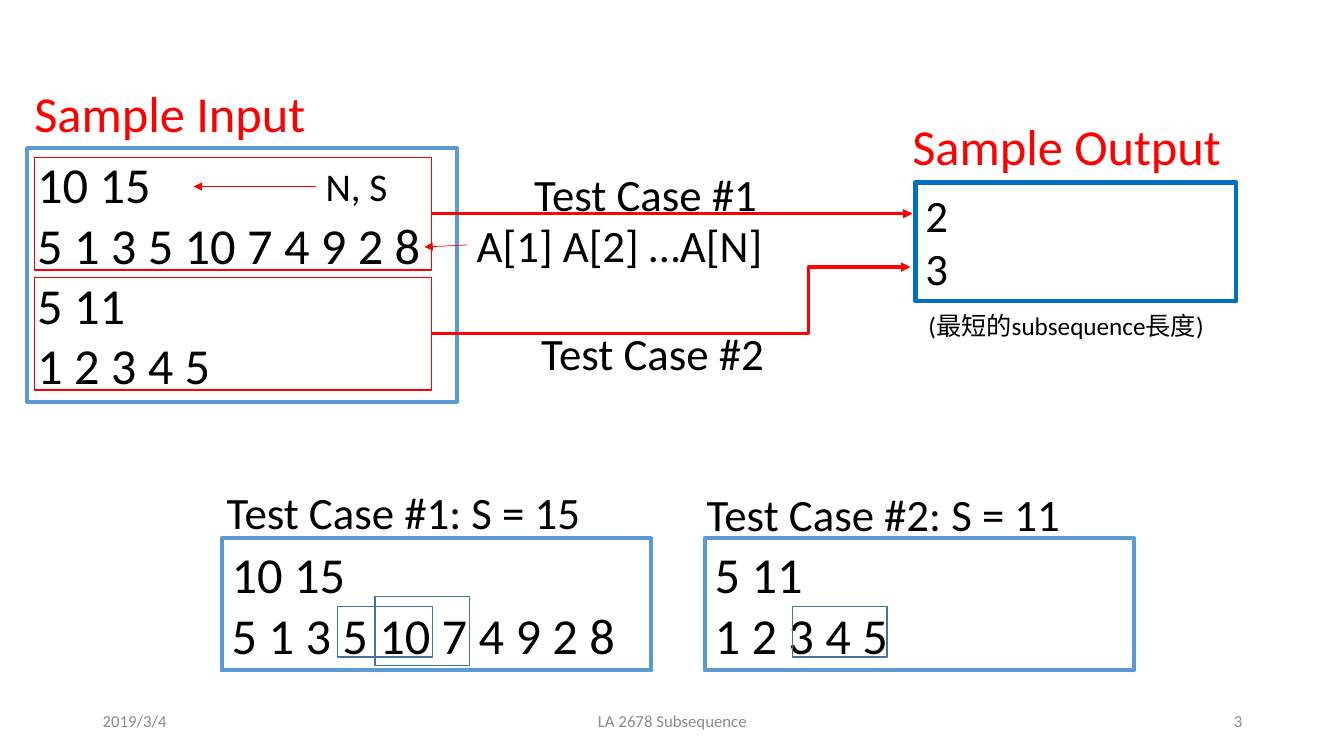
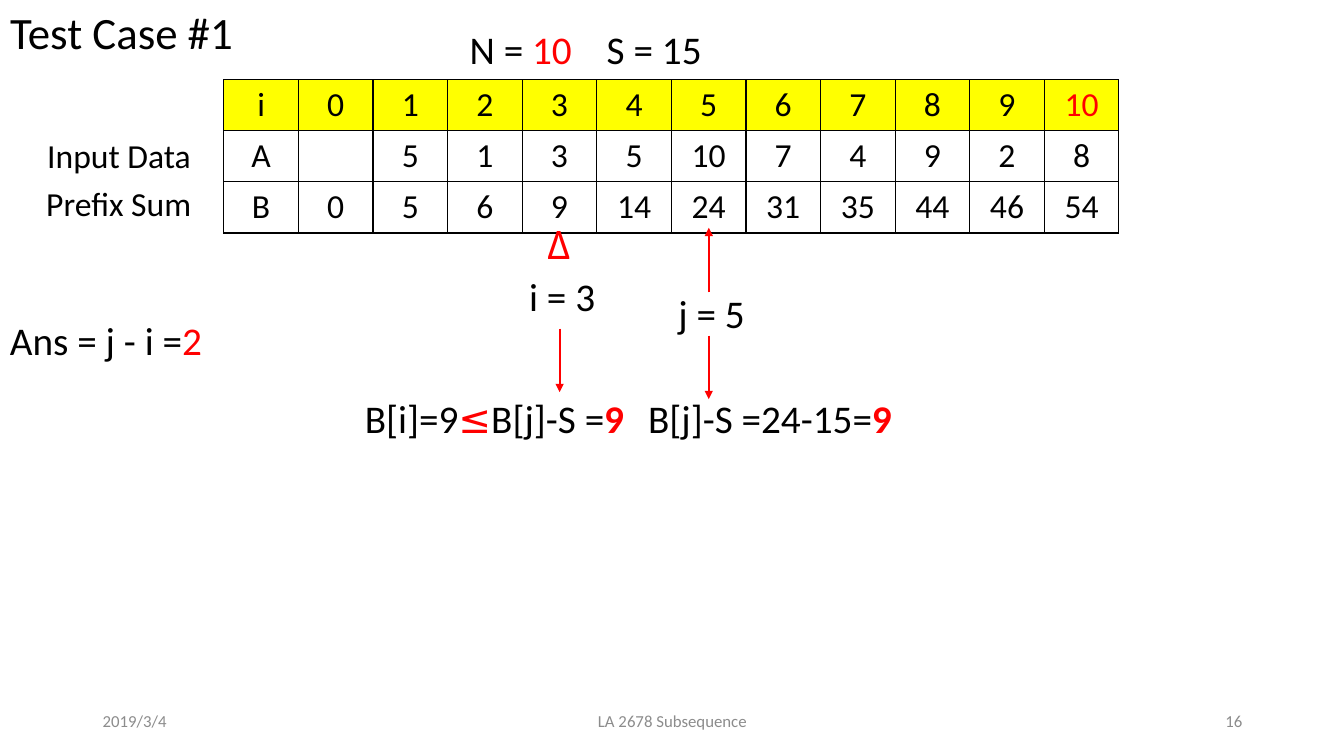
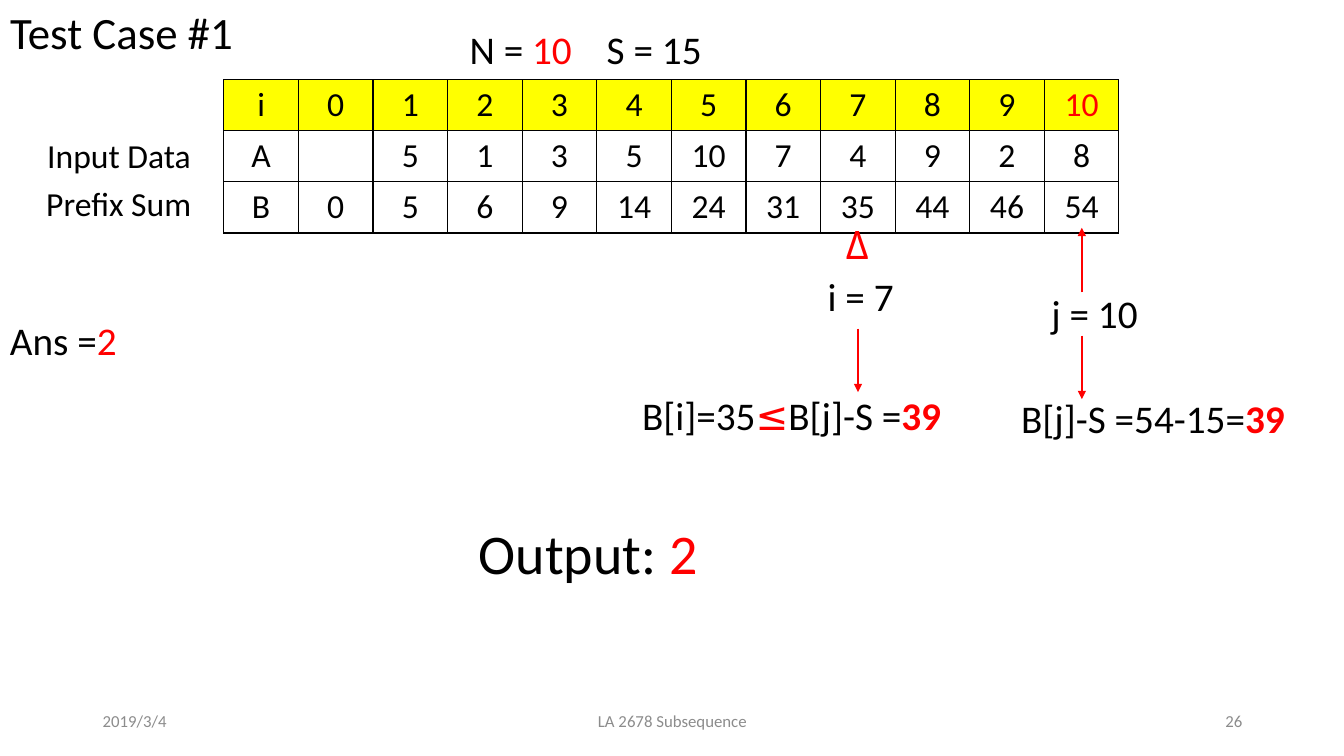
from lxml.etree import SubElement
from pptx import Presentation
from pptx.dml.color import RGBColor
from pptx.enum.shapes import MSO_CONNECTOR, MSO_SHAPE
from pptx.enum.text import MSO_ANCHOR, MSO_AUTO_SIZE, PP_ALIGN
from pptx.oxml.ns import qn
from pptx.util import Pt

SCALE = 9144
FONT, SIGN, HAN = "Calibri", "Cabin", "Noto Sans CJK SC"
BLACK, RED, GRAY = "000000", "FF0000", "8C8C8C"
BLUE, DEEP, STEEL, YELLOW = "5B9BD5", "0070C0", "43739E", "FFFF00"


def px(*nums):
    return [round(n * SCALE) for n in nums]


def rgb(code):
    return RGBColor.from_string(code)


def red(text, bold=False, font=FONT):
    return text, RED, bold, font


class Deck:
    def __init__(self):
        self.prs = Presentation()
        self.prs.slide_width, self.prs.slide_height = px(1333, 750)
        self.slide = None

    def page(self, num):
        self.slide = self.prs.slides.add_slide(self.prs.slide_layouts[5])
        foot = [("2019/3/4", 92, 300, PP_ALIGN.LEFT),
                ("LA 2678 Subsequence", 442, 450, PP_ALIGN.CENTER),
                (num, 942, 300, PP_ALIGN.RIGHT)]
        for text, x, w, align in foot:
            self.text(text, x, 695, w, 40, 12, GRAY, align, MSO_ANCHOR.MIDDLE)

    def style(self, run, size, color, bold=False, font=FONT):
        run.font.size, run.font.bold, run.font.name = Pt(size), bold, font
        run.font.color.rgb = rgb(color)
        SubElement(run.font._element, qn("a:ea"), typeface=HAN)

    def fill(self, frame, rows, size, color=BLACK, align=PP_ALIGN.LEFT,
             anchor=MSO_ANCHOR.TOP):
        frame.word_wrap = True
        frame.auto_size = MSO_AUTO_SIZE.NONE
        frame.vertical_anchor = anchor
        if isinstance(rows, str):
            frame.text = rows
            for para in frame.paragraphs:
                para.alignment = align
                for run in para.runs:
                    self.style(run, size, color)
            return
        para = frame.paragraphs[0]
        para.alignment = align
        for part in rows:
            text, *look = (part, color) if isinstance(part, str) else part
            run = para.add_run()
            run.text = text
            self.style(run, size, *look)

    def title(self, text, x, y, w, h, size, color=BLACK):
        head = self.slide.shapes.title
        head.left, head.top, head.width, head.height = px(x, y, w, h)
        self.fill(head.text_frame, text, size, color)

    def text(self, rows, x, y, w, h, size, *look):
        box = self.slide.shapes.add_textbox(*px(x, y, w, h))
        self.fill(box.text_frame, rows, size, *look)
        return box

    def rect(self, x, y, w, h, color, width, rows="", size=36):
        box = self.slide.shapes.add_shape(MSO_SHAPE.RECTANGLE, *px(x, y, w, h))
        box.shadow.inherit = False
        box.fill.background()
        box.line.color.rgb, box.line.width = rgb(color), Pt(width)
        if rows:
            self.fill(box.text_frame, rows, size)
        return box

    def arrow(self, x1, y1, x2, y2, width, start=None, site=3, bend=0):
        kind = MSO_CONNECTOR.ELBOW if bend else MSO_CONNECTOR.STRAIGHT
        line = self.slide.shapes.add_connector(kind, *px(x1, y1, x2, y2))
        if start is not None:
            line.begin_connect(start, site)
        line.line.color.rgb, line.line.width = rgb(RED), Pt(width)
        SubElement(line.line._get_or_add_ln(), qn("a:tailEnd"), type="triangle")
        prop = line._element.spPr
        SubElement(prop, qn("a:effectLst"))
        if bend:
            geom = prop.find(qn("a:prstGeom"))
            vals = geom.find(qn("a:avLst"))
            if vals is None:
                vals = SubElement(geom, qn("a:avLst"))
            SubElement(vals, qn("a:gd"), name="adj1", fmla=f"val {bend}")

    def edge(self, cell):
        prop = cell._tc.get_or_add_tcPr()
        for pos, side in enumerate(("a:lnL", "a:lnR", "a:lnT", "a:lnB")):
            line = prop.makeelement(qn(side), {"w": str(Pt(1))})
            paint = SubElement(line, qn("a:solidFill"))
            SubElement(paint, qn("a:srgbClr"), val=BLACK)
            prop.insert(pos, line)

    def table(self, rows, x, y, col, row):
        wide, high = len(rows[0]), len(rows)
        grid = self.slide.shapes.add_table(
            high, wide, *px(x, y, col * wide, row * high)).table
        for r, vals in enumerate(rows):
            grid.rows[r].height = px(row)[0]
            for c, val in enumerate(vals):
                grid.columns[c].width = px(col)[0]
                cell = grid.cell(r, c)
                if r == 0:
                    cell.fill.solid()
                    cell.fill.fore_color.rgb = rgb(YELLOW)
                else:
                    cell.fill.background()
                self.edge(cell)
                cell.text = str(val)
                para = cell.text_frame.paragraphs[0]
                para.alignment = PP_ALIGN.CENTER
                last = r == 0 and c == wide - 1
                for run in para.runs:
                    self.style(run, 24, RED if last else BLACK)
                if not para.runs:
                    para.font.size = Pt(24)


DATA = [5, 1, 3, 5, 10, 7, 4, 9, 2, 8]
SUMS = [sum(DATA[:n]) for n in range(len(DATA) + 1)]
GOAL = 15
LEFT, COL = 222, 74


def sample(deck):
    deck.page("3")
    deck.title("Sample Input", 24, 76, 319, 71, 36, RED)
    deck.text("Sample Output", 895, 109, 362, 71, 36, RED)
    case1 = "10 15\n" + " ".join(map(str, DATA))
    case2 = "5 11\n1 2 3 4 5"
    deck.rect(27, 147, 426, 252, BLUE, 3, f"{case1}\n{case2}")
    deck.rect(908, 181, 318, 118, DEEP, 3, "2\n3", 32)
    size = deck.text("N, S", 313, 156, 171, 58, 28)
    items = deck.text("A[1] A[2] …A[N]", 463, 211, 316, 64, 32)
    first, _ = [deck.rect(34, y, 394, 112, RED, 1) for y in (156, 275)]
    deck.arrow(313, 185, 192, 185, 0.5, size, 1)
    deck.arrow(463, 243, 421, 245, 0.5, items, 1)
    deck.arrow(428, 331, 903, 265, 2.25, bend=78800)
    for x, rows in ((220, case1), (699, case2)):
        deck.rect(x, 534, 426, 131, BLUE, 3, rows)
    for x, y, h in ((335, 602, 50), (372, 592, 68), (786, 602, 50)):
        deck.rect(x, y, 94, h, STEEL, 1)
    deck.text("Test Case #1: S = 15", 215, 476, 403, 64, 32)
    deck.text("Test Case #2: S = 11", 691, 478, 403, 64, 32)
    deck.arrow(428, 212, 905, 212, 2.25, first)
    deck.text("Test Case #1", 520, 160, 243, 64, 32)
    deck.text("Test Case #2", 527, 318, 243, 64, 32)
    deck.text("(最短的subsequence長度)", 911, 303, 296, 40, 18)


def step(deck, num, i, j, answer, x, y):
    deck.page(num)
    deck.title("Test Case #1", 0, 0, 245, 64, 32)
    head = deck.text(["N = ", red("10"), "\tS = 15"], 456, 20, 254, 57, 28)
    prop = head.text_frame.paragraphs[0]._p.get_or_add_pPr()
    tabs = SubElement(prop, qn("a:tabLst"))
    SubElement(tabs, qn("a:tab"), pos=str(px(136)[0]), algn="l")
    rows = [["i", *range(len(SUMS))], ["A", "", *DATA], ["B", *SUMS]]
    deck.table(rows, LEFT, 79, COL, 50)
    deck.text("Input Data", 37, 129, 175, 50, 24)
    deck.text("Prefix Sum", 36, 177, 175, 50, 24)
    deck.text([answer, red("2")], 0, 309, 268, 57, 28)

    mid_i, mid_j = [LEFT + COL * n + COL * 3 // 2 for n in (i, j)]
    rest = str(SUMS[j] - GOAL)
    deck.text([f"B[j]-S ={SUMS[j]}-{GOAL}=", red(rest, True)],
              mid_j - 70, 386, 283, 57, 28)
    deck.text(f"j = {j}", mid_j - 40, 282, 113, 57, 28)
    deck.arrow(mid_j, 290, mid_j, 226, 1.5)
    deck.arrow(mid_j, 333, mid_j, 396, 1.5)
    deck.text([red("Δ", font=SIGN)], mid_i - 22, 214, 41, 57, 28)
    deck.text(f"i = {i}", mid_i - 40, 265, 113, 57, 28)
    deck.arrow(mid_i, 326, mid_i, 389, 1.5)
    deck.text([f"B[i]={SUMS[i]}", red("≤", font=SIGN), "B[j]-S =",
               red(rest, True)], x, y, 320, 57, 28)


def main():
    deck = Deck()
    sample(deck)
    step(deck, "16", 3, 5, "Ans = j - i =", 352, 386)
    step(deck, "26", 7, 10, "Ans =", 627, 383)
    deck.text(["Output: ", red("2")], 465, 509, 271, 77, 40)
    deck.prs.save("out.pptx")


if __name__ == "__main__":
    main()
